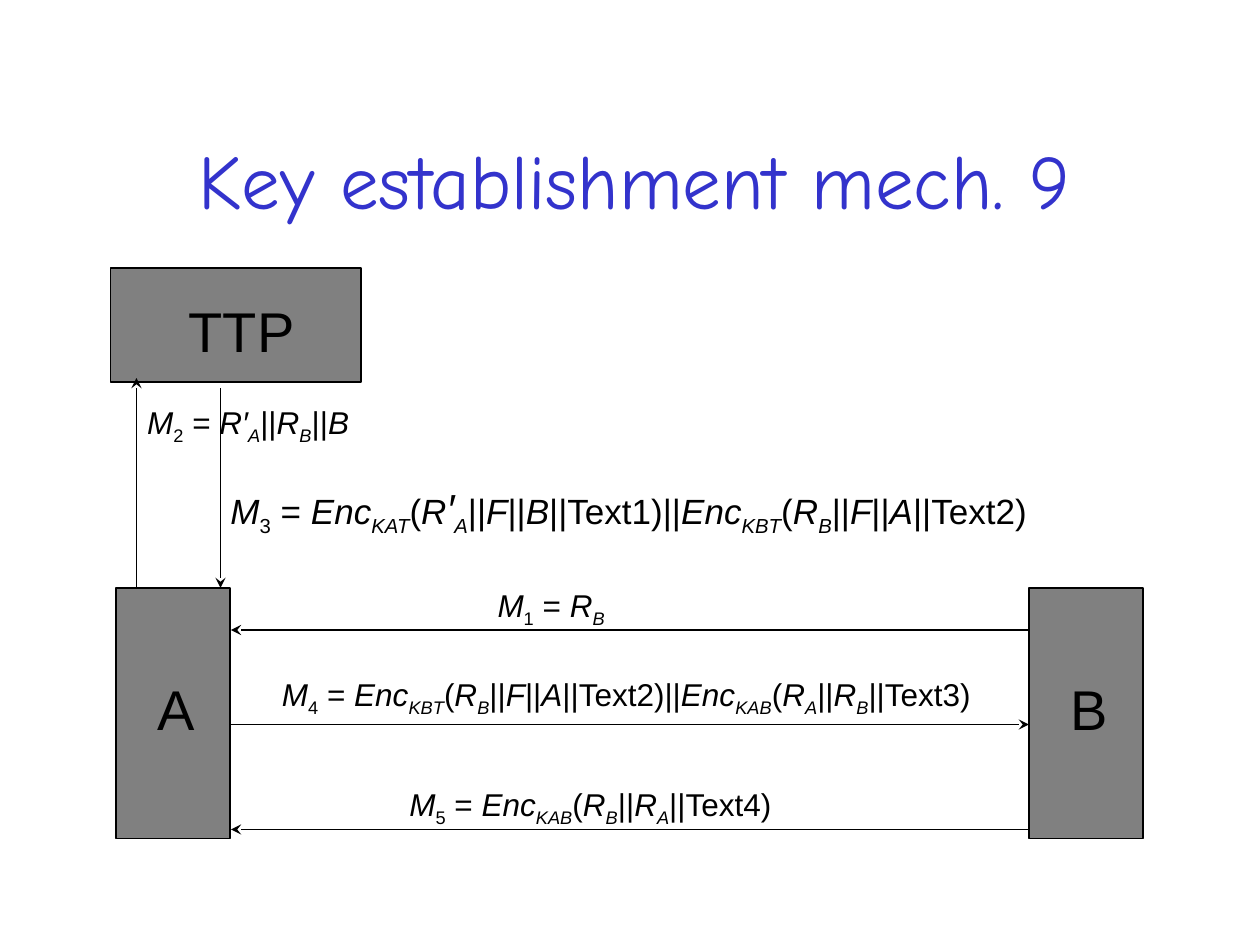
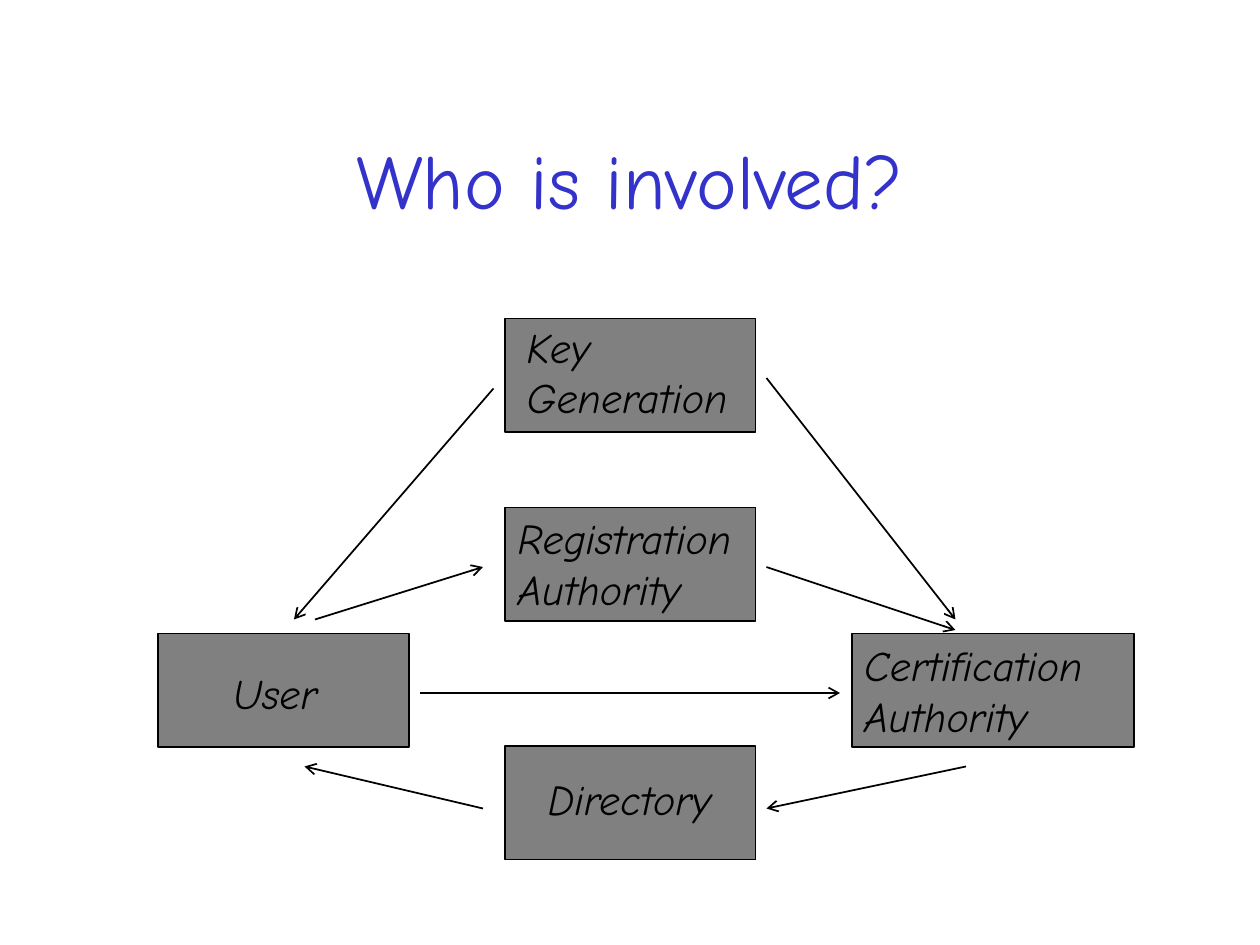
from dataclasses import dataclass

from lxml.etree import SubElement
from pptx import Presentation
from pptx.dml.color import RGBColor
from pptx.enum.shapes import MSO_CONNECTOR as Connector, MSO_SHAPE as Preset
from pptx.enum.text import MSO_ANCHOR as Anchor, MSO_AUTO_SIZE as AutoSize, PP_ALIGN as Align
from pptx.oxml.ns import qn
from pptx.util import Pt

# Shared look
BLACK = RGBColor(0x00, 0x00, 0x00)
WHITE = RGBColor(0xFF, 0xFF, 0xFF)
GREY = RGBColor(0x80, 0x80, 0x80)
TITLE_BLUE = RGBColor(0x33, 0x33, 0xCC)
SANS = "Arial"
HAND = "Comic Neue"
TITLE_ONLY = 5
PRIME = "′"
SUBSCRIPT = "-25000"

PARTY_FORMAT = {"name": SANS, "size": Pt(32)}
MESSAGE_FORMAT = {"name": SANS, "size": Pt(18)}
LONG_MESSAGE_FORMAT = {"name": SANS, "size": Pt(20)}
ROLE_FORMAT = {"name": HAND, "size": Pt(24), "italic": True}
TITLE_FORMAT = {"name": HAND, "size": Pt(44)}


@dataclass(frozen=True)
class Box:
    left: float
    top: float
    width: float
    height: float

    def lengths(self):
        return [Pt(v) for v in (self.left, self.top, self.width, self.height)]


@dataclass(frozen=True)
class Label:
    """Text in which * toggles italics and _ toggles subscript."""
    box: Box
    text: str
    format: dict
    wrap: bool = False
    prime_size: float | None = None


@dataclass(frozen=True)
class Arrow:
    start: tuple[float, float]
    end: tuple[float, float]


def set_values(target, values: dict) -> None:
    for name, value in values.items():
        setattr(target, name, value)


def add_title_slide(presentation, title: str, box: Box):
    slide = presentation.slides.add_slide(presentation.slide_layouts[TITLE_ONLY])
    shape = slide.shapes.title
    set_values(shape, dict(zip(("left", "top", "width", "height"), box.lengths())))
    shape.fill.solid()
    shape.fill.fore_color.rgb = WHITE
    frame = shape.text_frame
    frame.text = title
    set_values(frame, {"auto_size": AutoSize.NONE, "vertical_anchor": Anchor.MIDDLE,
                       "word_wrap": True})
    paragraph = frame.paragraphs[0]
    paragraph.alignment = Align.CENTER
    font = paragraph.runs[0].font
    set_values(font, TITLE_FORMAT)
    font.color.rgb = TITLE_BLUE
    return slide


def add_box(slide, box: Box) -> None:
    shape = slide.shapes.add_shape(Preset.RECTANGLE, *box.lengths())
    shape.shadow.inherit = False
    shape.fill.solid()
    shape.fill.fore_color.rgb = GREY
    shape.line.color.rgb = BLACK
    shape.line.width = Pt(1)


def add_run(paragraph, text: str, label: Label, italic: bool, subscript: bool) -> None:
    run = paragraph.add_run()
    run.text = text
    set_values(run.font, label.format)
    run.font.color.rgb = BLACK
    if italic:
        run.font.italic = True
    if subscript:
        run.font._element.set("baseline", SUBSCRIPT)
    if text == PRIME and label.prime_size:
        run.font.size = Pt(label.prime_size)


def add_formula(paragraph, label: Label, line: str) -> None:
    if label.prime_size:
        line = line.replace(PRIME, f"**{PRIME}**")
    for i, italic_part in enumerate(line.split("*")):
        for j, text in enumerate(italic_part.split("_")):
            if text:
                add_run(paragraph, text, label, i % 2 == 1, j % 2 == 1)


def add_label(slide, label: Label) -> None:
    frame = slide.shapes.add_textbox(*label.box.lengths()).text_frame
    set_values(frame, {"word_wrap": label.wrap, "auto_size": AutoSize.SHAPE_TO_FIT_TEXT})
    for index, line in enumerate(label.text.split("\n")):
        paragraph = frame.add_paragraph() if index else frame.paragraphs[0]
        add_formula(paragraph, label, line)


def add_arrow(slide, arrow: Arrow, head: str) -> None:
    points = [Pt(v) for v in (*arrow.start, *arrow.end)]
    connector = slide.shapes.add_connector(Connector.STRAIGHT, *points)
    connector.line.color.rgb = BLACK
    connector.line.width = Pt(1)
    SubElement(connector.line._get_or_add_ln(), qn("a:tailEnd"), type=head)
    SubElement(connector._element.spPr, qn("a:effectLst"))


def draw(slide, boxes: list[Box], labels: list[Label], arrows: list[Arrow], head: str) -> None:
    for box in boxes:
        add_box(slide, box)
    for label in labels:
        add_label(slide, label)
    for arrow in arrows:
        add_arrow(slide, arrow, head)


def add_key_establishment(presentation) -> None:
    slide = add_title_slide(presentation, "Key establishment mech. 9",
                            Box(66.25, 74.25, 593.25, 56.25))
    a_edge, b_edge, party_top = 132, 588, 336
    boxes = [Box(66.25, party_top, 65.25, 143.25),
             Box(b_edge, party_top, 65.25, 143.25),
             Box(63.25, 153.25, 143.25, 65)]
    labels = [
        Label(Box(82.8, 381.6, 36, 46), "A", PARTY_FORMAT),
        Label(Box(604.8, 381.6, 36, 46), "B", PARTY_FORMAT),
        Label(Box(100.8, 165.6, 75.6, 46), "TTP", PARTY_FORMAT),
        Label(Box(277.2, 331.2, 78.5, 29), "*M*_1_ = *R_B_*", MESSAGE_FORMAT),
        Label(Box(77, 226.8, 134, 29), "*M*_2_ = *R′_A_*||*R_B_*||*B*", MESSAGE_FORMAT),
        Label(Box(124.6, 272.2, 483.8, 36.7),
              "*M*_3_ = *Enc_KAT_*(*R′_A_*||*F*||*B*||Text1)||"
              "*Enc_KBT_*(*R_B_*||*F*||*A*||Text2)", LONG_MESSAGE_FORMAT, prime_size=24),
        Label(Box(154, 382.3, 421.2, 29),
              "*M*_4_ = *Enc_KBT_*(*R_B_*||*F*||*A*||Text2)||"
              "*Enc_KAB_*(*R_A_*||*R_B_*||Text3)", MESSAGE_FORMAT),
        Label(Box(226.8, 445, 229, 29),
              "*M*_5_ = *Enc_KAB_*(*R_B_*||*R_A_*||Text4)", MESSAGE_FORMAT),
    ]
    arrows = [Arrow((b_edge, 360), (a_edge, 360)),
              Arrow((78, party_top), (78, 216)),
              Arrow((126, 222), (126, party_top)),
              Arrow((a_edge, 414), (b_edge, 414)),
              Arrow((b_edge, 474), (a_edge, 474))]
    draw(slide, boxes, labels, arrows, "stealth")


def add_who_is_involved(presentation) -> None:
    slide = add_title_slide(presentation, "Who is involved?", Box(45.25, 45.25, 629.25, 113.75))
    width, height, middle, side_top = 143.25, 65, 288.5, 362
    authority = Box(486.75, side_top, 161.25, height)
    boxes = [Box(middle, top, width, height) for top in (182, 290, 426.25)]
    boxes += [authority, Box(90.5, side_top, width, height)]
    labels = [
        Label(Box(293.8, 180, 133.2, height), "Key\nGeneration", ROLE_FORMAT),
        Label(Box(126, 378, 65, 36), "User", ROLE_FORMAT),
        Label(Box(288.7, 289.4, 142.6, height), "Registration\nAuthority", ROLE_FORMAT),
        Label(Box(306, 438.5, 110.2, 36), "Directory", ROLE_FORMAT),
        Label(authority, "Certification\nAuthority", ROLE_FORMAT, wrap=True),
    ]
    arrows = [Arrow((282, 222), (168, 354)),
              Arrow((438, 216), (546, 354)),
              Arrow((180, 354), (276, 324)),
              Arrow((438, 324), (546, 360)),
              Arrow((240, 396), (480, 396)),
              Arrow((552, 438), (438, 462)),
              Arrow((276, 462), (174, 438))]
    draw(slide, boxes, labels, arrows, "arrow")


def main() -> None:
    presentation = Presentation()
    set_values(presentation, {"slide_width": Pt(720), "slide_height": Pt(540)})
    add_key_establishment(presentation)
    add_who_is_involved(presentation)
    presentation.save("out.pptx")


if __name__ == "__main__":
    main()
